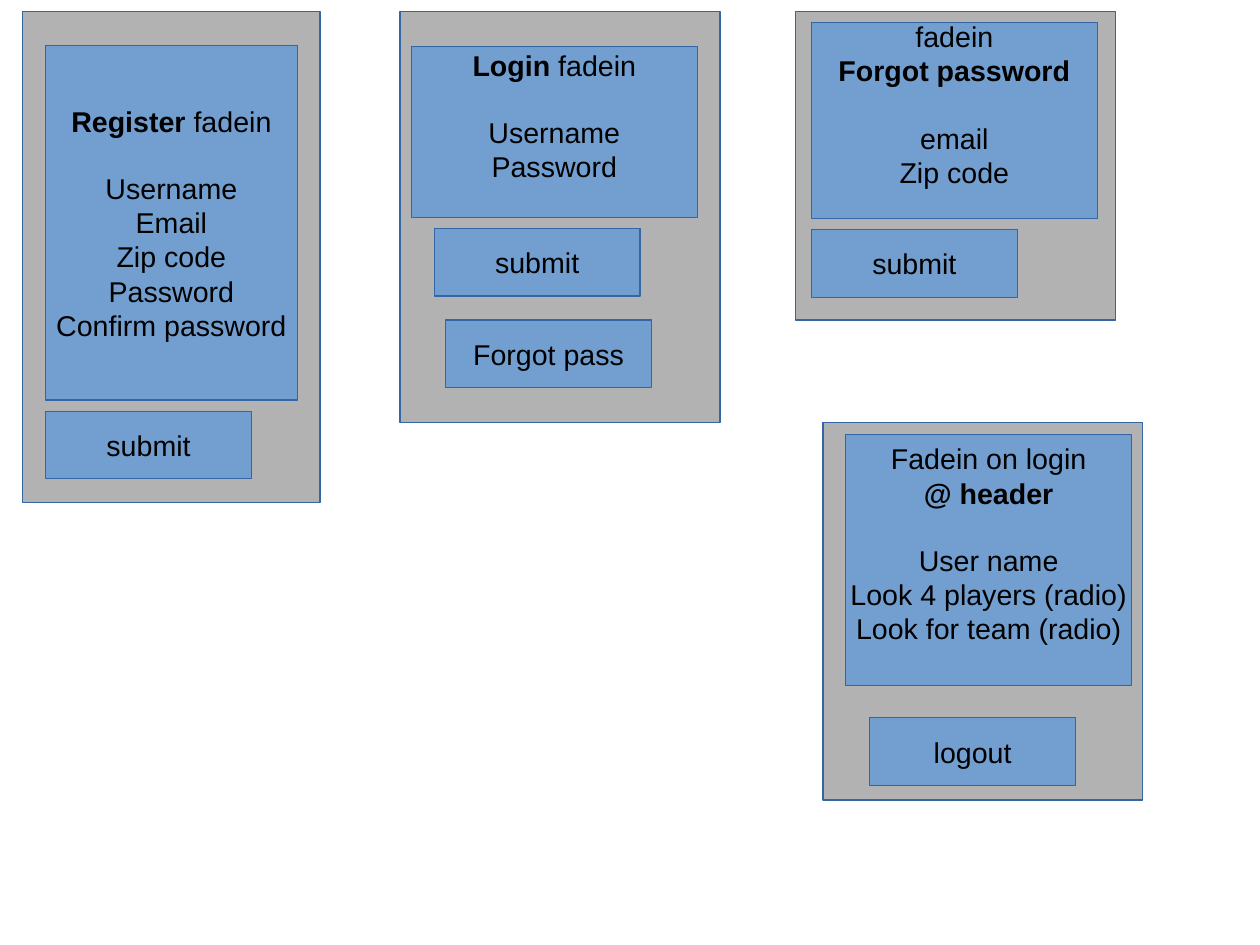
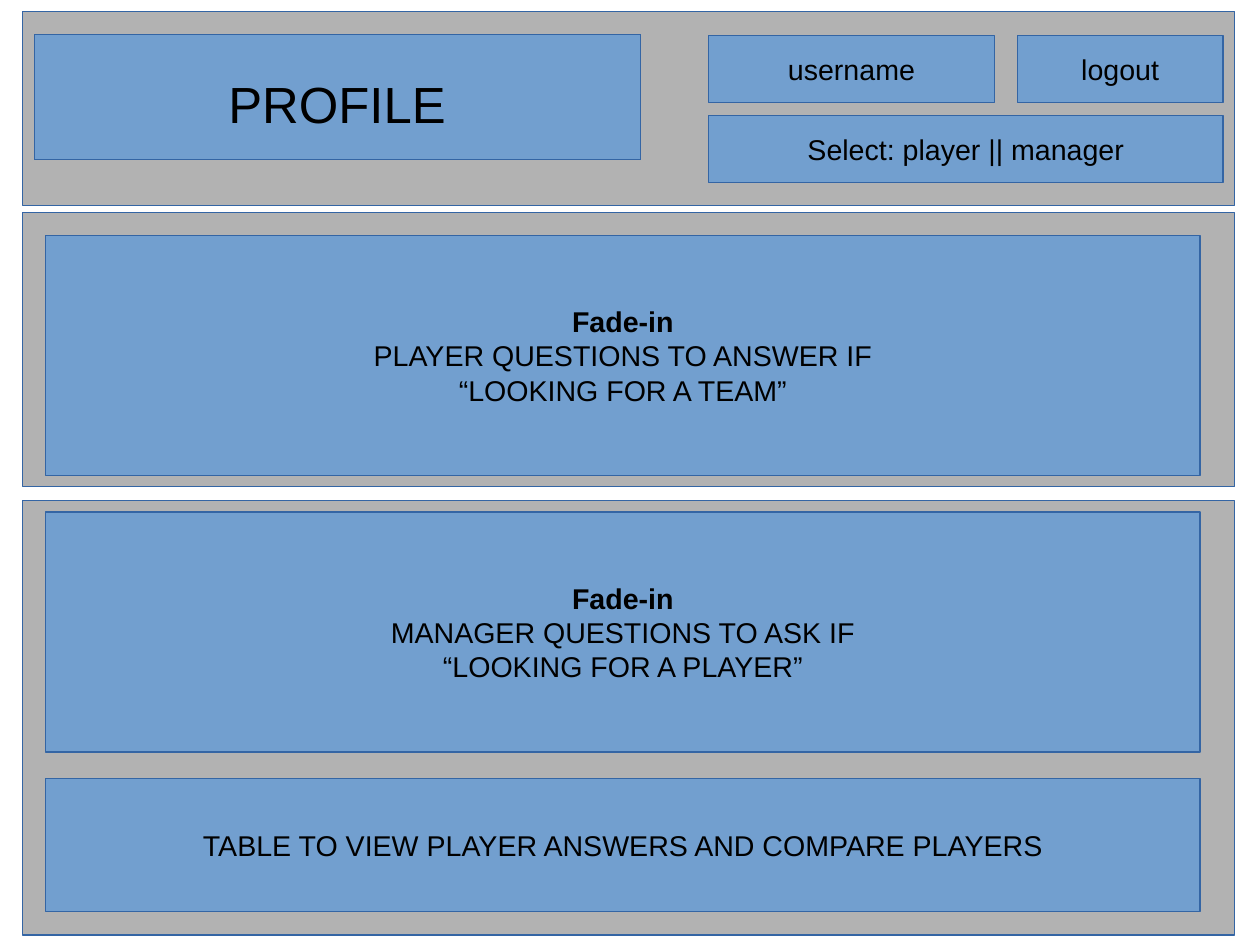
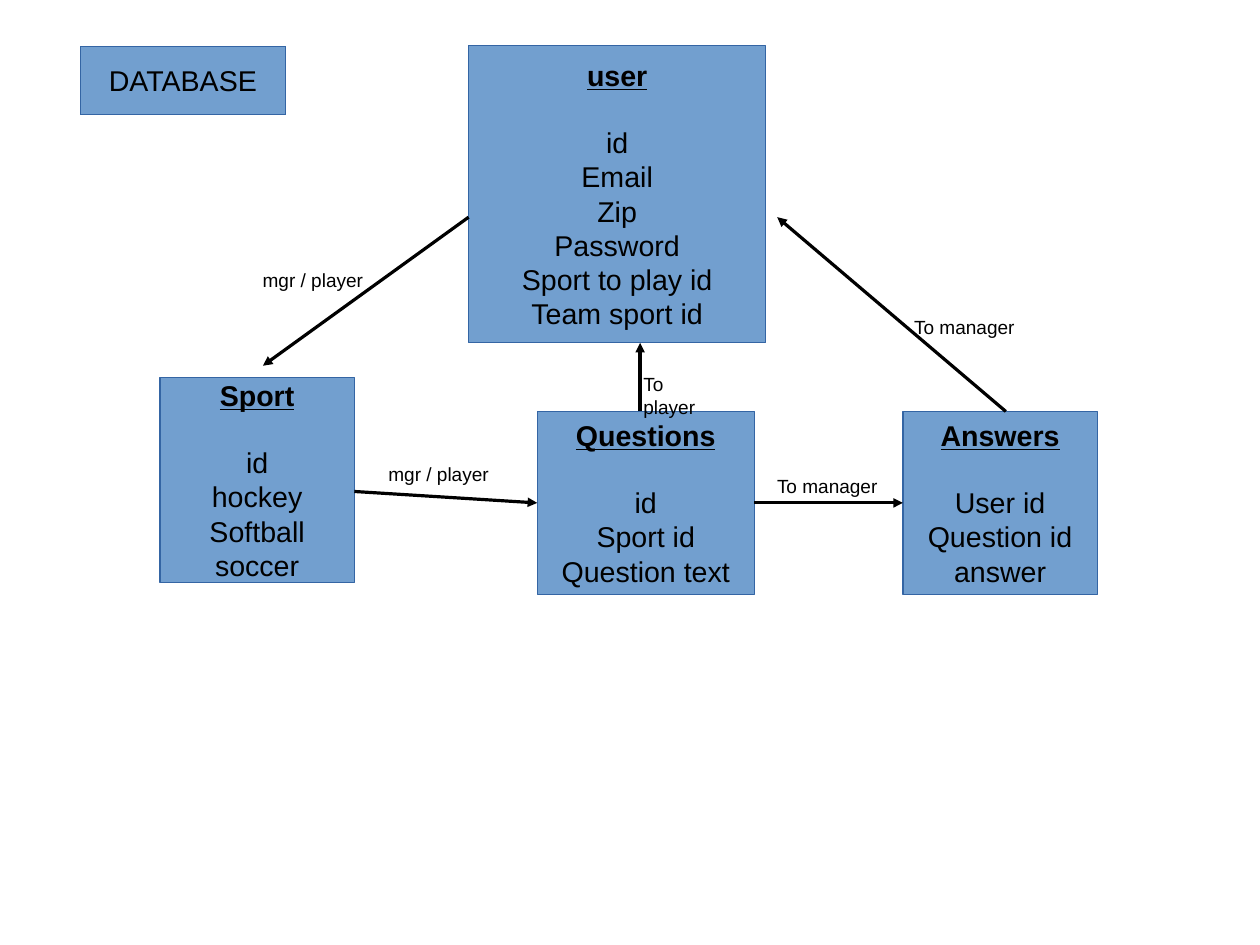
import pptx
import pptx.dml.color
import pptx.enum.shapes
import pptx.enum.text
import pptx.oxml
import pptx.oxml.ns
import pptx.util
import lxml.etree

Pt = pptx.util.Pt
FONT = "Arial"
BLACK, PANEL, BOX, OUTLINE = "000000", "B2B2B2", "729FCF", "3465A4"
BODY, LABEL, HEADING = 18, 12, 32
LINE_GAP = 20.7
BUTTON = (129.6, 42.5)
TITLE_ONLY, BLANK = 5, 6


def color(hex_code):
    """Turn a hex string into a colour."""
    return pptx.dml.color.RGBColor.from_string(hex_code)


def paint(shape, fill):
    """Give a shape its fill and the shared hairline outline."""
    shape.fill.solid()
    shape.fill.fore_color.rgb = color(fill)
    shape.line.color.rgb = color(OUTLINE)
    shape.line.width = Pt(0)


def add_run(paragraph, text, size, style=""):
    """Add one run; style may hold b for bold and u for underline."""
    run = paragraph.add_run()
    run.text = text
    run.font.name = FONT
    run.font.size = Pt(size)
    run.font.bold = "b" in style
    run.font.underline = "u" in style
    run.font.color.rgb = color(BLACK)


def write_lines(frame, lines, size=BODY, centred=True, gap_before=None):
    """Write one paragraph per line, each a string or a list of styled runs."""
    align = pptx.enum.text.PP_ALIGN
    for index, line in enumerate(lines):
        paragraph = frame.paragraphs[0] if index == 0 else frame.add_paragraph()
        paragraph.alignment = align.CENTER if centred else align.LEFT
        if index == gap_before:
            paragraph.space_before = Pt(LINE_GAP)
        for text, style in [(line, "")] if isinstance(line, str) else line:
            add_run(paragraph, text, size, style)


def add_rectangle(slide, at, fill):
    """Add a flat rectangle at left, top, width, height."""
    rectangle = slide.shapes.add_shape(
        pptx.enum.shapes.MSO_SHAPE.RECTANGLE, *map(Pt, at))
    rectangle.shadow.inherit = False
    paint(rectangle, fill)
    return rectangle


def add_panels(slide, places):
    """Add the grey panels that hold the boxes."""
    for at in places:
        add_rectangle(slide, at, PANEL)


def add_box(slide, at, heading, fields=(), room_below=0):
    """Add a blue box with heading lines and, after a gap, its fields."""
    box = add_rectangle(slide, at, BOX)
    frame = box.text_frame
    frame.word_wrap = False
    frame.vertical_anchor = pptx.enum.text.MSO_ANCHOR.MIDDLE
    frame.margin_bottom = Pt(3.6 + room_below)
    write_lines(frame, [*heading, *fields], gap_before=len(heading))
    return box


def add_button(slide, left, top, caption):
    """Add a box of the standard button size."""
    add_box(slide, (left, top, *BUTTON), [caption])


def place_title(slide, at, text, size, margin_top=3.6, margin_bottom=3.6):
    """Move the title placeholder to the front and style it as a box."""
    title = slide.shapes.title
    title.element.getparent().append(title.element)
    title.left, title.top, title.width, title.height = map(Pt, at)
    paint(title, BOX)
    frame = title.text_frame
    frame.auto_size = pptx.enum.text.MSO_AUTO_SIZE.NONE
    frame.vertical_anchor = pptx.enum.text.MSO_ANCHOR.MIDDLE
    frame.margin_top, frame.margin_bottom = Pt(margin_top), Pt(margin_bottom)
    write_lines(frame, [text], size)


def add_label(slide, at, text, wrap=True):
    """Add the small caption of an arrow."""
    frame = slide.shapes.add_textbox(*map(Pt, at)).text_frame
    frame.word_wrap = wrap
    frame.auto_size = pptx.enum.text.MSO_AUTO_SIZE.SHAPE_TO_FIT_TEXT
    write_lines(frame, [text], LABEL, centred=False)


def add_arrow(slide, start, end, source=None, target=None):
    """Add a hairline arrow, joined to a source's right or a target's left side."""
    arrow = slide.shapes.add_connector(
        pptx.enum.shapes.MSO_CONNECTOR.STRAIGHT, *map(Pt, (*start, *end)))
    if source is not None:
        arrow.begin_connect(source, 3)
    if target is not None:
        arrow.end_connect(target, 1)
    arrow.line.color.rgb = color(BLACK)
    arrow.line.width = Pt(0)
    qn = pptx.oxml.ns.qn
    lxml.etree.SubElement(arrow.line._get_or_add_ln(), qn("a:tailEnd"), type="triangle")
    lxml.etree.SubElement(arrow.element.spPr, qn("a:effectLst"))


def build_forms(slide):
    """Lay out the register, login, password and header forms."""
    add_panels(slide, [
        (518.4, 266.4, 201.6, 237.6),
        (501.1, 7.2, 201.6, 194.4),
        (252, 7.2, 201.6, 259.2),
        (14.4, 7.2, 187.2, 309.6),
    ])
    add_box(slide, (28.8, 28.8, 158.4, 223.2),
            [[("Register", "b"), (" fadein", "")]],
            ["Username", "Email", "Zip code", "Password", "Confirm password"])
    add_box(slide, (259.2, 29.5, 180, 107.3),
            [[("Login", "b"), (" fadein", "")]],
            ["Username", "Password"], LINE_GAP)
    add_box(slide, (511.2, 14.4, 180, 123.1),
            ["fadein", [("Forgot password", "b")]],
            ["email", "Zip code"], LINE_GAP)
    add_box(slide, (532.8, 273.6, 180, 158.4),
            ["Fadein on login", [("@ header", "b")]],
            ["User name", "Look 4 players (radio)", "Look for team (radio)"], LINE_GAP)
    for left, top, caption in [
        (28.8, 259.2, "submit"),
        (273.6, 144, "submit"),
        (280.8, 201.6, "Forgot pass"),
        (511.2, 144.7, "submit"),
        (547.9, 452.2, "logout"),
    ]:
        add_button(slide, left, top, caption)


def build_profile(slide):
    """Lay out the profile page with its header and question areas."""
    add_panels(slide, [(14.4, top, 763.2, height) for top, height in
                       [(7.2, 122.4), (133.9, 172.8), (315.4, 273.6)]])
    place_title(slide, (21.6, 21.6, 381.6, 79.2), "PROFILE", HEADING, 7.2, 0)
    add_box(slide, (446.4, 22.3, 180, 42.5), ["username"])
    add_button(slide, 640.8, 22.3, "logout")
    add_box(slide, (446.4, 72.7, 324, 42.5), ["Select: player || manager"])
    for top, question, condition in [
        (148.3, "PLAYER QUESTIONS TO ANSWER IF", "“LOOKING FOR A TEAM”"),
        (322.6, "MANAGER QUESTIONS TO ASK IF", "“LOOKING FOR A PLAYER”"),
    ]:
        add_box(slide, (28.8, top, 727.2, 151.2),
                [[("Fade-in", "b")], question, condition])
    add_box(slide, (28.8, 490.3, 727.2, 84.2),
            ["TABLE TO VIEW PLAYER ANSWERS AND COMPARE PLAYERS"])


def build_database(slide):
    """Draw the database tables and the arrows between them."""
    place_title(slide, (50.4, 29.5, *BUTTON), "DATABASE", BODY)
    tables = {
        name: add_box(slide, at, [[(name, "bu")]], fields)
        for name, at, fields in [
            ("user", (295.2, 28.8, 187.2, 187.2),
             ["id", "Email", "Zip", "Password", "Sport to play id", "Team sport id"]),
            ("Questions", (338.4, 259.2, 136.8, 115.2),
             ["id", "Sport id", "Question text"]),
            ("Answers", (568.8, 259.2, 122.4, 115.2),
             ["User id", "Question id", "answer"]),
            ("Sport", (100.8, 237.6, 122.4, 129.6),
             ["id", "hockey", "Softball", "soccer"]),
        ]
    }
    questions, answers = tables["Questions"], tables["Answers"]
    add_arrow(slide, (223.2, 309.6), (338.4, 316.8), target=questions)
    add_arrow(slide, (295.2, 136.8), (165.6, 230.4))
    add_arrow(slide, (403.2, 259.2), (403.2, 216))
    add_arrow(slide, (475.2, 316.8), (568.8, 316.8), questions, answers)
    add_arrow(slide, (633.6, 259.2), (489.6, 136.8))
    add_label(slide, (398.2, 231.1, 62.6, 20.9), "To player", wrap=False)
    add_label(slide, (568.8, 195.1, 108, 20.9), "To manager")
    add_label(slide, (158.4, 165.6, 79.2, 28.1), "mgr / player")
    add_label(slide, (237.6, 288, 79.2, 28.1), "mgr / player")
    add_label(slide, (482.4, 295.2, 79.2, 20.9), "To manager")


def main():
    """Build the three slides and save them."""
    deck = pptx.Presentation()
    deck.slide_width, deck.slide_height = Pt(793.7), Pt(595.3)
    for layout, build in [(BLANK, build_forms), (TITLE_ONLY, build_profile),
                          (TITLE_ONLY, build_database)]:
        build(deck.slides.add_slide(deck.slide_layouts[layout]))
    deck.save("out.pptx")


if __name__ == "__main__":
    main()
